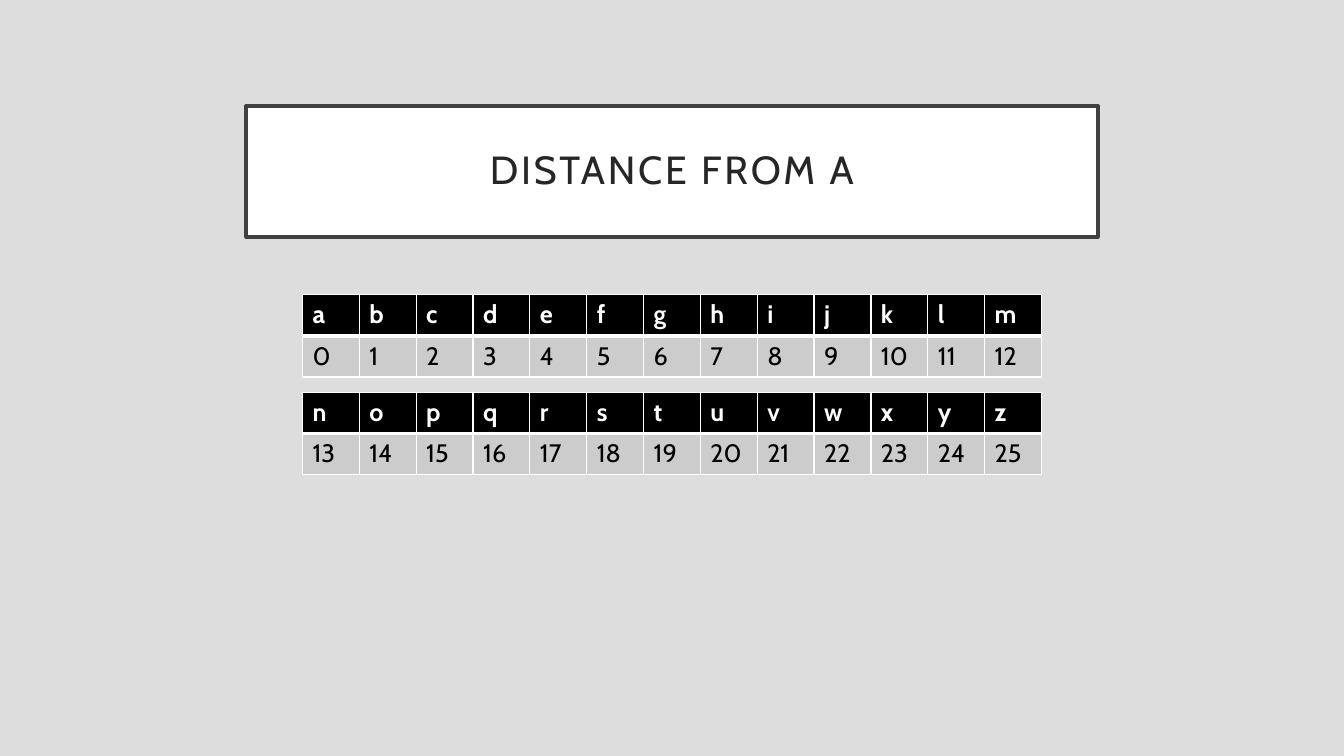
from dataclasses import dataclass

from lxml.etree import SubElement as Sub
from pptx import Presentation
from pptx.dml.color import RGBColor as Rgb
from pptx.enum.text import MSO_ANCHOR as Anchor, PP_ALIGN as Align
from pptx.oxml.ns import qn
from pptx.slide import Slide
from pptx.table import _Cell as Cell
from pptx.util import Inches, Pt

HUES = {
    "back": "DDDDDD", "white": "FFFFFF", "frame": "404040",
    "title": "262626", "black": "000000", "grey": "CCCCCC",
}
FACE = "Cabin"
LEFT, WIDTH, ROW = 3, 7.33, 0.41
THIN, THICK = 1, 3


@dataclass
class Strip:
    """One table: a run of letters above their distances from a."""
    top: float
    letters: str


@dataclass
class Look:
    """Colours, weight and edge widths of one table row."""
    fill: str
    ink: str
    bold: bool
    edges: dict[str, float]


STRIPS = [Strip(2.92, "abcdefghijklm"), Strip(3.89, "nopqrstuvwxyz")]
HEAD = Look("black", "white", True,
            {"L": THIN, "R": THIN, "T": THIN, "B": THICK})
BODY = Look("grey", "black", False,
            {"L": THIN, "R": THIN, "T": THICK, "B": THIN})


def hue(name: str) -> Rgb:
    return Rgb.from_string(HUES[name])


def assign(target: object, values: dict) -> None:
    for name, value in values.items():
        setattr(target, name, value)


def add_title(slide: Slide, text: str) -> None:
    box = slide.shapes.title
    assign(box, {"left": Inches(2.44), "top": Inches(1.05),
                 "width": Inches(8.45), "height": Inches(1.3)})
    box.fill.solid()
    box.fill.fore_color.rgb = hue("white")
    box.line.color.rgb = hue("frame")
    box.line.width = Pt(2.5)

    frame = box.text_frame
    pad = Inches(0.2)
    assign(frame, {"text": text, "word_wrap": True,
                   "vertical_anchor": Anchor.MIDDLE,
                   "margin_left": pad, "margin_right": pad,
                   "margin_top": pad, "margin_bottom": pad})
    para = frame.paragraphs[0]
    assign(para, {"alignment": Align.CENTER, "line_spacing": 0.9})
    font = para.runs[0].font
    assign(font, {"name": FACE, "size": Pt(28)})
    font.color.rgb = hue("title")
    # Letter spacing of 2 pt, in hundredths
    para.runs[0]._r.get_or_add_rPr().set("spc", "200")


def fill_cell(cell: Cell, text: str, look: Look) -> None:
    # Edges come before the fill in the cell's XML
    props = cell._tc.get_or_add_tcPr()
    for side, width in look.edges.items():
        edge = Sub(props, qn(f"a:ln{side}"), w=str(Pt(width)))
        paint = Sub(edge, qn("a:solidFill"))
        Sub(paint, qn("a:srgbClr"), val=HUES["white"])
    cell.fill.solid()
    cell.fill.fore_color.rgb = hue(look.fill)

    cell.text = text
    font = cell.text_frame.paragraphs[0].runs[0].font
    assign(font, {"name": FACE, "size": Pt(18), "bold": look.bold})
    font.color.rgb = hue(look.ink)


def add_strip(slide: Slide, strip: Strip) -> None:
    count = len(strip.letters)
    table = slide.shapes.add_table(
        2, count, Inches(LEFT), Inches(strip.top),
        Inches(WIDTH), Inches(2 * ROW)).table
    for row in table.rows:
        row.height = Inches(ROW)
    for col, letter in enumerate(strip.letters):
        table.columns[col].width = Inches(WIDTH / count)
        fill_cell(table.cell(0, col), letter, HEAD)
        fill_cell(table.cell(1, col), str(ord(letter) - ord("a")), BODY)


def main() -> None:
    deck = Presentation()
    assign(deck, {"slide_width": Inches(13.33), "slide_height": Inches(7.5)})
    slide = deck.slides.add_slide(deck.slide_layouts.get_by_name("Title Only"))
    slide.background.fill.solid()
    slide.background.fill.fore_color.rgb = hue("back")

    # Title, then the two halves of the alphabet
    add_title(slide, "DISTANCE FROM A")
    for strip in STRIPS:
        add_strip(slide, strip)
    deck.save("out.pptx")


if __name__ == "__main__":
    main()
